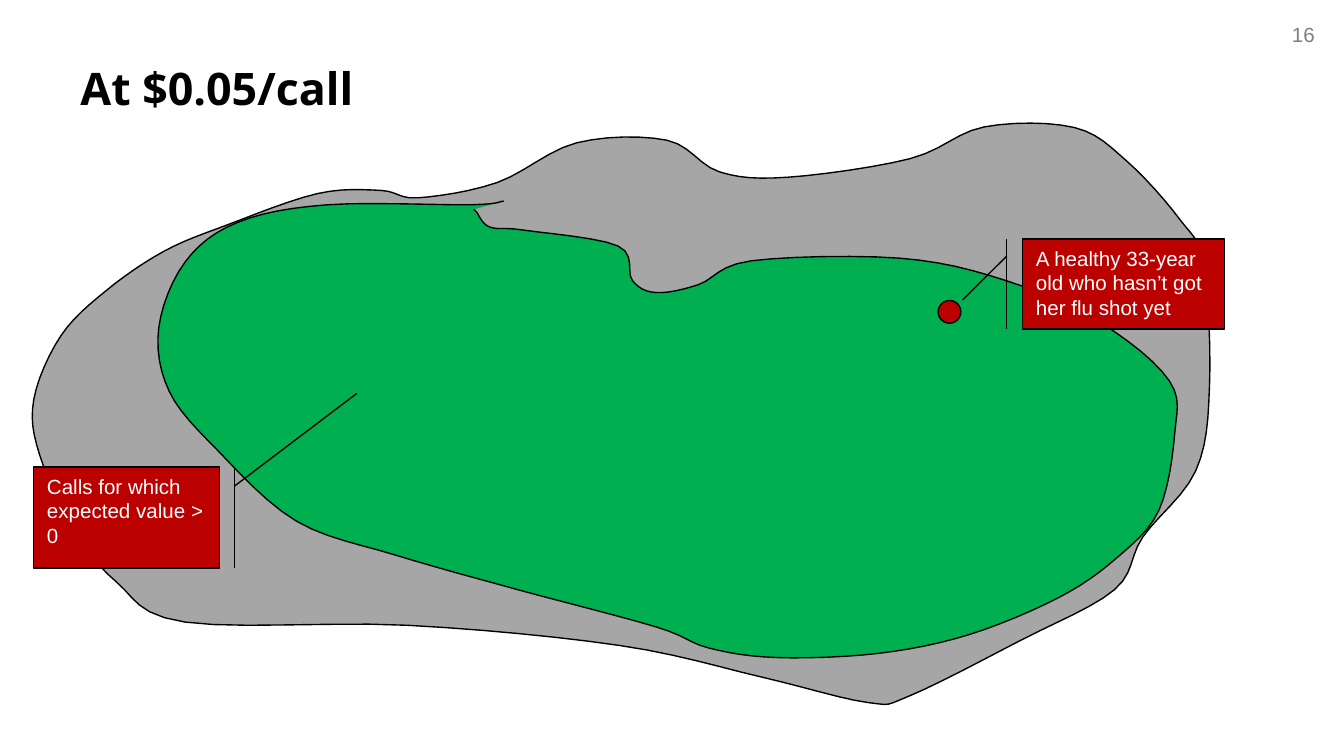
from pptx import Presentation
from pptx.dml.color import RGBColor
from pptx.enum.shapes import MSO_SHAPE
from pptx.enum.text import MSO_ANCHOR, PP_ALIGN
from pptx.oxml.ns import qn
from pptx.util import Cm, Pt

COLORS = {
    "black": "000000",
    "white": "FFFFFF",
    "number": "808080",
    "all_calls": "A6A6A6",
    "worthwhile": "00B050",
    "red": "BB0000",
}
STEPS = 6

ALL_CALLS = [
    (7.2, 3.6), (6, 3.66), (4.3, 4.25), (3.1, 4.75), (2, 5.5), (1.15, 6.35),
    (0.64, 7.55), (0.75, 8.6), (1.4, 10), (2.2, 11), (3.5, 11.76),
    (7.7, 11.82), (11.7, 12.2), (14.4, 12.8), (16.4, 13.28), (17.2, 13.15),
    (19.3, 12.1), (21.06, 11.15), (21.6, 10.15), (22.6, 8.9), (22.86, 7.3),
    (22.75, 5), (22.3, 4.15), (21.3, 3.05), (20.3, 2.41), (18.6, 2.4),
    (17.2, 3), (14.9, 3.35), (13.6, 3.25), (12.6, 2.65), (10.9, 2.7),
    (9.4, 3.45), (7.9, 3.74),
]
WORTHWHILE_CALLS = [
    (9.52, 3.8), (8.9, 3.87), (6.2, 3.87), (4.5, 4.2), (3.5, 4.95),
    (3, 6.2), (3.2, 7.4), (4.1, 8.5), (5.6, 9.85), (7.5, 10.5),
    (9.8, 11.15), (12.4, 11.85), (13.4, 12.25), (14.7, 12.43), (16.6, 12.35),
    (18.3, 12), (20, 11.3), (21.1, 10.55), (21.9, 9.65), (22.2, 8.2),
    (22.1, 7.2), (20.8, 6.1), (19, 5.3), (17, 4.88), (14.2, 4.93),
    (13.2, 5.38), (12.4, 5.53), (11.95, 5.3), (11.68, 4.65), (9.9, 4.35),
    (9.25, 4.29), (9, 4), (8.94, 3.96),
]


def color(name):
    """Return the named colour."""
    return RGBColor.from_string(COLORS[name])


def spline(a, b, c, d, t):
    """Return the Catmull-Rom value between b and c at share t."""
    return b + t / 2 * (c - a + t * (2 * a - 5 * b + 4 * c - d
                                     + t * (3 * (b - c) + d - a)))


def smooth(points, close):
    """Return a smooth outline through points, in slide units."""
    if close:
        ring = [points[-1], *points, *points[:2]]
    else:
        ring = [points[0], *points, points[-1]]
    outline = []
    for quad in zip(ring, ring[1:], ring[2:], ring[3:]):
        for i in range(STEPS):
            outline.append(tuple(Cm(spline(*axis, i / STEPS))
                                 for axis in zip(*quad)))
    return outline


def write(s, text, size=11, font="Arial", fill="black", bold=False,
          align=PP_ALIGN.LEFT, anchor=MSO_ANCHOR.TOP):
    """Write one formatted paragraph in a shape."""
    tf = s.text_frame
    tf.word_wrap = True
    tf.vertical_anchor = anchor
    p = tf.paragraphs[0]
    p.alignment = align
    r = p.add_run()
    r.text = text
    r.font.size = Pt(size)
    r.font.name = font
    r.font.bold = bold
    r.font.color.rgb = color(fill)


def paint(s, fill):
    """Give a shape a flat fill and a thin black line."""
    s.shadow.inherit = False
    s.fill.solid()
    s.fill.fore_color.rgb = color(fill)
    s.line.color.rgb = color("black")
    s.line.width = Pt(0.75)


def add_text(slide, text, x, y, w, h, **fmt):
    """Add a text box."""
    write(slide.shapes.add_textbox(Cm(x), Cm(y), Cm(w), Cm(h)), text, **fmt)


def add_region(slide, points, fill, close):
    """Add an irregular region through the given points."""
    outline = smooth(points, close)
    builder = slide.shapes.build_freeform(*outline[0])
    builder.add_line_segments(outline[1:], close=close)
    paint(builder.convert_to_shape(), fill)


def add_dot(slide, x, y, d):
    """Add a round marker."""
    s = slide.shapes.add_shape(MSO_SHAPE.OVAL, Cm(x), Cm(y), Cm(d), Cm(d))
    paint(s, "red")


def add_callout(slide, text, x, y, w, h, tip, flip=False):
    """Add a red callout whose pointer ends at tip, a (down, across) share."""
    s = slide.shapes.add_shape(MSO_SHAPE.LINE_CALLOUT_1_BORDER_AND_ACCENT_BAR,
                               Cm(x), Cm(y), Cm(w), Cm(h))
    for i, value in enumerate((0.19, -0.08, *tip)):
        s.adjustments[i] = value
    if flip:
        s.element.spPr.find(qn("a:xfrm")).set("flipH", "1")
    paint(s, "red")
    write(s, text, fill="white")


def main():
    """Build the slide and save it."""
    prs = Presentation()
    prs.slide_width, prs.slide_height = Cm(25.4), Cm(14.29)
    slide = prs.slides.add_slide(prs.slide_layouts[6])
    add_text(slide, "16", 23.7, 0.28, 1.4, 0.74, fill="number",
             align=PP_ALIGN.RIGHT, anchor=MSO_ANCHOR.MIDDLE)
    add_region(slide, ALL_CALLS, "all_calls", close=True)
    add_region(slide, WORTHWHILE_CALLS, "worthwhile", close=False)
    add_dot(slide, 17.73, 5.68, 0.43)
    add_callout(slide, "A healthy 33-year old who hasn’t got her flu shot yet",
                19.33, 4.52, 3.81, 1.7, tip=(0.68, -0.3))
    add_text(slide, "At $0.05/call", 1.27, 1.02, 22.86, 1.7,
             size=24, font="Open Sans", bold=True)
    add_callout(slide, "Calls for which expected value > 0",
                0.64, 8.83, 3.51, 1.91, tip=(-0.73, -0.74), flip=True)
    prs.save("out.pptx")


if __name__ == "__main__":
    main()
